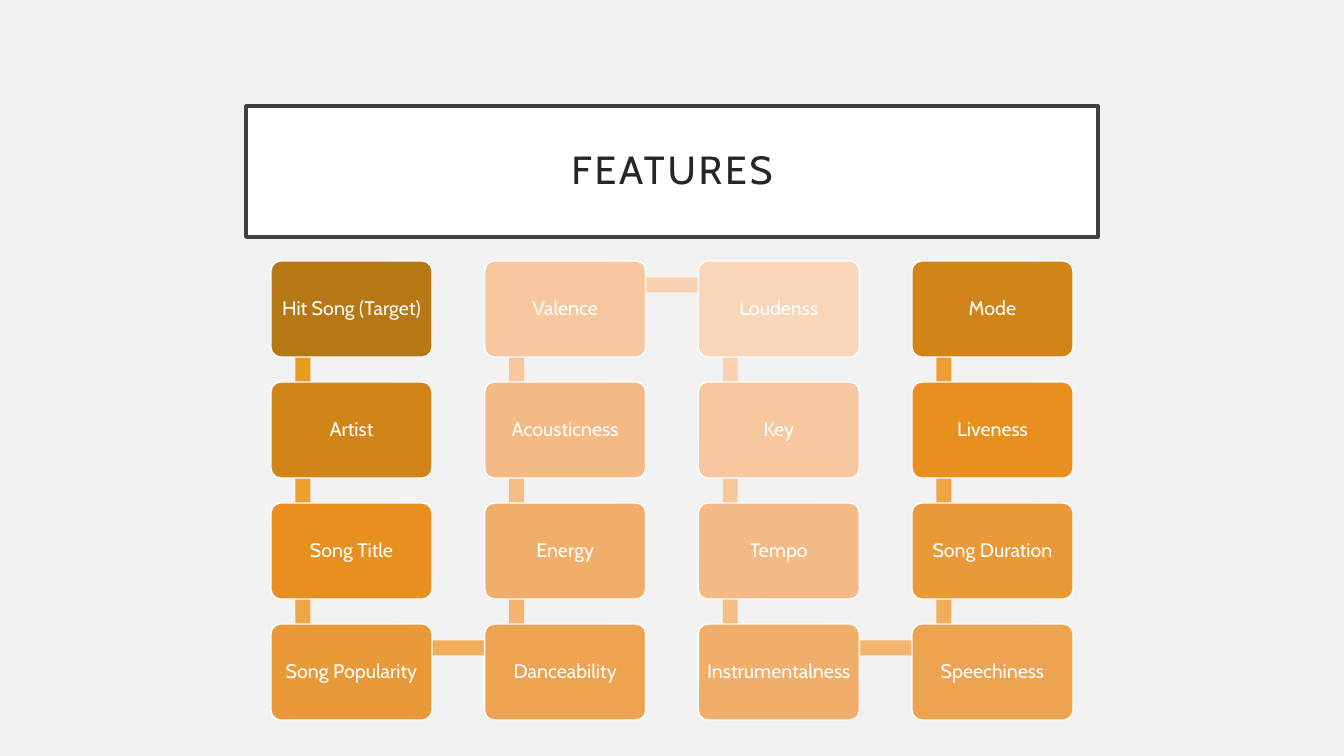
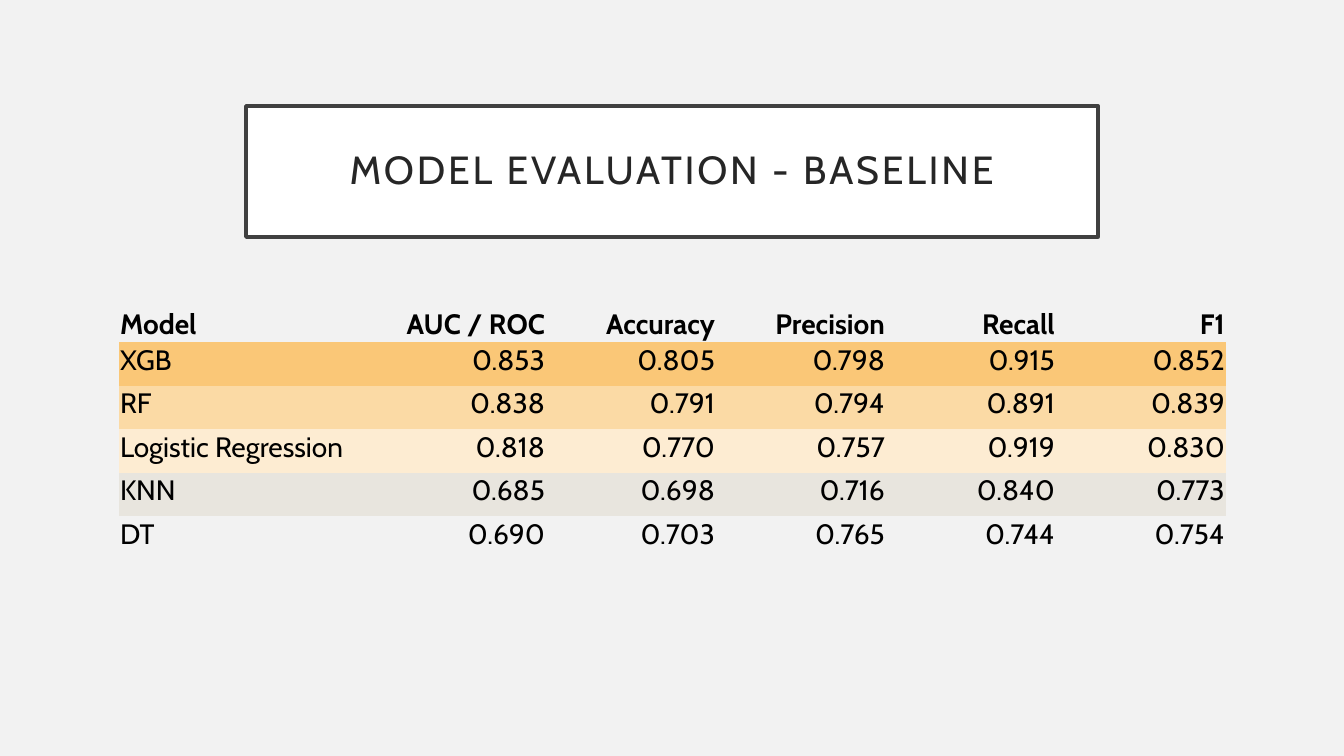
from pptx import Presentation
from pptx.dml.color import RGBColor
from pptx.enum.shapes import MSO_SHAPE
from pptx.enum.text import MSO_ANCHOR, MSO_AUTO_SIZE, PP_ALIGN
from pptx.oxml.ns import qn
from pptx.util import Pt

RECTANGLE, ROUNDED = MSO_SHAPE.RECTANGLE, MSO_SHAPE.ROUNDED_RECTANGLE
LEFT, CENTER, RIGHT = PP_ALIGN.LEFT, PP_ALIGN.CENTER, PP_ALIGN.RIGHT
MIDDLE = MSO_ANCHOR.MIDDLE
NO_AUTOFIT = MSO_AUTO_SIZE.NONE

FONT = "Cabin"
PLAIN_TABLE_STYLE = "{2D5ABB26-0587-4C30-8999-92F81FD0307C}"

BACKGROUND = RGBColor(0xF2, 0xF2, 0xF2)
WHITE = RGBColor(0xFF, 0xFF, 0xFF)
BLACK = RGBColor(0x00, 0x00, 0x00)
FRAME = RGBColor(0x40, 0x40, 0x40)
TITLE_TEXT = RGBColor(0x26, 0x26, 0x26)
# Shades run from dark to light, then back again
CARD_SHADES = [RGBColor.from_string(shade) for shade in (
    "B67815", "D18518", "E7901F", "EA9938", "EEA351",
    "F1AE6B", "F4BA85", "F7C79F", "F9D5B9")]
LINK_SHADES = [RGBColor.from_string(shade) for shade in (
    "EB9B1C", "EDA031", "F0A646", "F2AD5B",
    "F4B571", "F6BD87", "F8C79C", "FAD2B2")]
ROW_SHADES = [RGBColor.from_string(shade) for shade in (
    "FAC777", "FBDAA5", "FDECD2", "E8E5DE", "F2F2F2")]

# Boxes are left, top, width, height in px
PAGE_SIZE = (1344, 756)
TITLE_BOX = (246, 106, 852, 131)
FEATURE_BOX = (271, 261, 802, 459)
TABLE_BOX = (119, 306, 1107, 254)

FEATURES = [
    "Hit Song (Target)", "Artist", "Song Title", "Song Popularity",
    "Danceability", "Energy", "Acousticness", "Valence",
    "Loudenss", "Key", "Tempo", "Instrumentalness",
    "Speechiness", "Song Duration", "Liveness", "Mode",
]
SCORES = [
    ("Model", "AUC / ROC", "Accuracy", "Precision", "Recall", "F1"),
    ("XGB", "0.853", "0.805", "0.798", "0.915", "0.852"),
    ("RF", "0.838", "0.791", "0.794", "0.891", "0.839"),
    ("Logistic Regression", "0.818", "0.770", "0.757", "0.919", "0.830"),
    ("KNN", "0.685", "0.698", "0.716", "0.840", "0.773"),
    ("DT", "0.690", "0.703", "0.765", "0.744", "0.754"),
]


def px(length):
    return round(length * 914400 / 100.8)


def set_margins(target, left, top, right, bottom):
    target.margin_left, target.margin_top = px(left), px(top)
    target.margin_right, target.margin_bottom = px(right), px(bottom)


def write(frame, text, size, color, align, bold=False):
    frame.text = text
    para = frame.paragraphs[0]
    para.alignment = align
    para.font.name = FONT
    para.font.size = Pt(size)
    para.font.bold = bold
    para.font.color.rgb = color
    return para


def paint(shape, fill, line=None, weight=1):
    shape.fill.solid()
    shape.fill.fore_color.rgb = fill
    if line is None:
        shape.line.fill.background()
    else:
        shape.line.color.rgb = line
        shape.line.width = Pt(weight)


def add_block(page, kind, box, fill, line=None):
    block = page.shapes.add_shape(kind, *map(px, box))
    block.shadow.inherit = False
    paint(block, fill, line)
    return block


def add_page(deck, title):
    """Add a page with the framed title."""
    page = deck.slides.add_slide(deck.slide_layouts[5])
    heading = page.shapes.title
    heading.left, heading.top, heading.width, heading.height = map(px, TITLE_BOX)
    paint(heading, WHITE, FRAME, 2.5)
    frame = heading.text_frame
    frame.auto_size = NO_AUTOFIT
    frame.vertical_anchor = MIDDLE
    set_margins(frame, 20, 20, 20, 20)
    para = write(frame, title, 28, TITLE_TEXT, CENTER)
    para.line_spacing = 0.9
    for font in heading.element.iter(qn("a:defRPr")):
        font.set("spc", "200")
    return page


def add_feature_snake(page, box, features):
    """Cards run down and up the columns, joined by bars."""
    left, top, width, height = box
    count, card_width, card_height, bar = 4, 161, 96, 15
    anchor_x, anchor_y = 32, 24
    step_x = (width - card_width) / (count - 1)
    step_y = (height - card_height) / (count - 1)

    corners = []
    for index in range(len(features)):
        column, row = divmod(index, count)
        if column % 2:
            row = count - 1 - row
        corners.append((left + column * step_x, top + row * step_y))

    # Bars lie behind the cards
    for index, (start, end) in enumerate(zip(corners, corners[1:])):
        bar_box = (start[0] + anchor_x - bar / 2 * (start[0] == end[0]),
                   min(start[1], end[1]) + anchor_y - bar / 2 * (start[1] == end[1]),
                   end[0] - start[0] or bar,
                   abs(end[1] - start[1]) or bar)
        shade = LINK_SHADES[min(index, len(features) - 1 - index)
                            if index < len(LINK_SHADES)
                            else len(features) - 1 - index]
        add_block(page, RECTANGLE, bar_box, shade)

    # Cards
    for index, (name, (x, y)) in enumerate(zip(features, corners)):
        shade = CARD_SHADES[min(index, len(features) - index)]
        card = add_block(page, ROUNDED, (x, y, card_width, card_height), shade, WHITE)
        card.adjustments[0] = 0.1
        frame = card.text_frame
        frame.word_wrap = True
        frame.vertical_anchor = MIDDLE
        set_margins(frame, 6, 6, 6, 6)
        write(frame, name, 14, WHITE, CENTER).line_spacing = 0.9


def add_score_table(page, box, scores):
    """Header without fill, then one shade for each model."""
    left, top, width, height = box
    name_width, header_height = 257, 36
    row_count, column_count = len(scores), len(scores[0])
    holder = page.shapes.add_table(row_count, column_count, *map(px, box))
    for style in holder.element.iter(qn("a:tableStyleId")):
        style.text = PLAIN_TABLE_STYLE
    table = holder.table
    table.first_row = table.horz_banding = False

    for index, column in enumerate(table.columns):
        column.width = px((width - name_width) / (column_count - 1) if index else name_width)
    for index, row in enumerate(table.rows):
        row.height = px((height - header_height) / (row_count - 1) if index else header_height)
        for position, (cell, text) in enumerate(zip(row.cells, scores[index])):
            set_margins(cell, 1, 1, 1, 0)
            if index:
                cell.fill.solid()
                cell.fill.fore_color.rgb = ROW_SHADES[index - 1]
            else:
                cell.fill.background()
            write(cell.text_frame, text, 20, BLACK,
                  RIGHT if position else LEFT, bold=index == 0)


def main():
    deck = Presentation()
    deck.slide_width, deck.slide_height = map(px, PAGE_SIZE)
    backdrop = deck.slide_master.background.fill
    backdrop.solid()
    backdrop.fore_color.rgb = BACKGROUND

    add_feature_snake(add_page(deck, "FEATURES"), FEATURE_BOX, FEATURES)
    add_score_table(add_page(deck, "MODEL EVALUATION - BASELINE"), TABLE_BOX, SCORES)
    deck.save("out.pptx")


if __name__ == "__main__":
    main()
